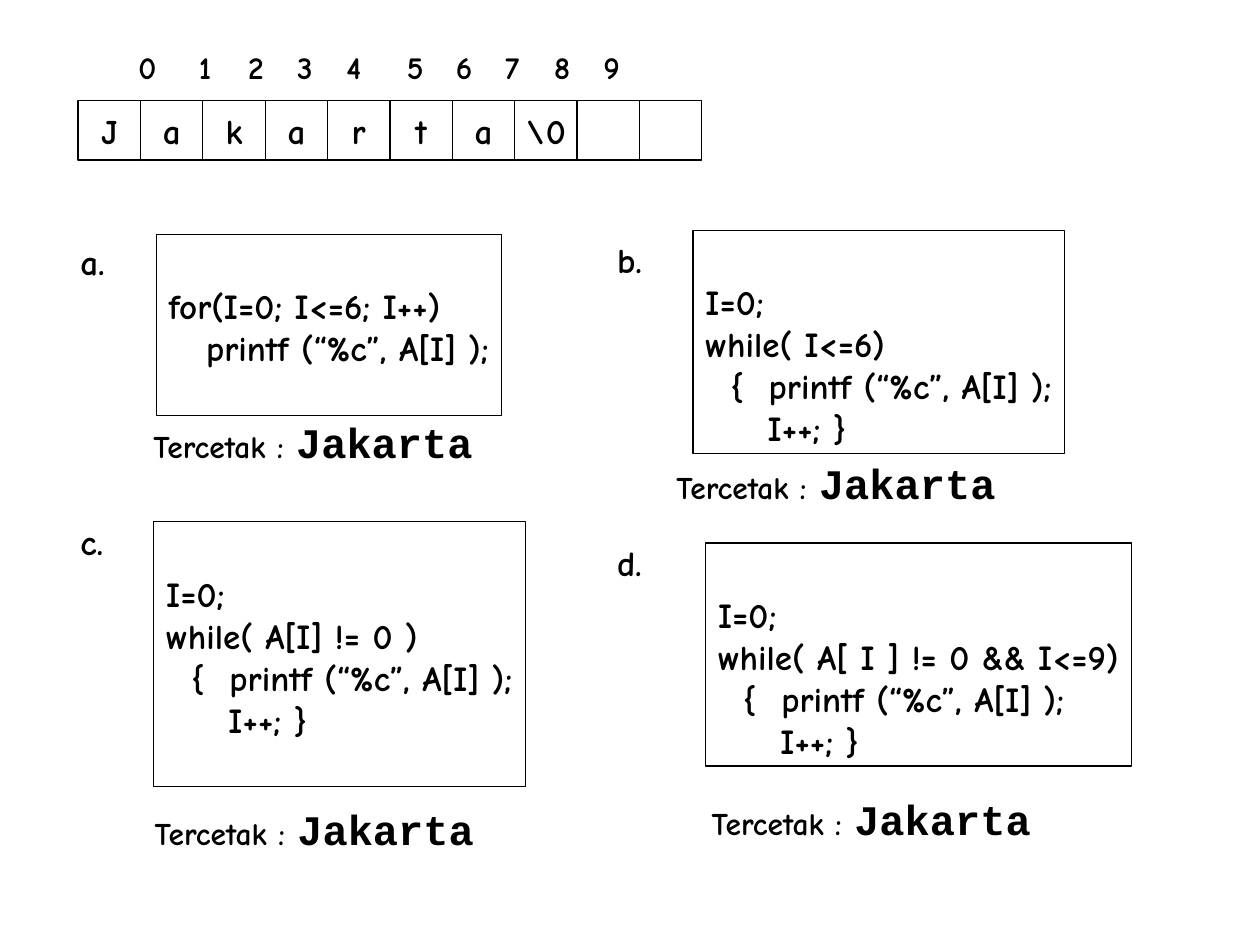
import pptx
import pptx.dml.color
import pptx.enum.shapes
import pptx.enum.text
import pptx.oxml.ns
import pptx.util
import lxml.etree

COLORS = {"ink": "000000"}
INK = pptx.dml.color.RGBColor.from_string(COLORS["ink"])
ANCHOR = pptx.enum.text.MSO_ANCHOR
ALIGN = pptx.enum.text.PP_ALIGN

presentation = pptx.Presentation()
presentation.slide_width = pptx.util.Inches(10)
presentation.slide_height = pptx.util.Inches(7.5)
slide = presentation.slides.add_slide(presentation.slide_layouts[6])
column = presentation.slide_width / 100
row = presentation.slide_height / 75


def add_box(left, top, width, height, bordered=False, inset=1, top_inset=0.5):
    bounds = [int(left * column), int(top * row), int(width * column), int(height * row)]
    if bordered:
        shape = slide.shapes.add_shape(pptx.enum.shapes.MSO_SHAPE.RECTANGLE, *bounds)
        shape.shadow.inherit = False
        shape.fill.background()
        shape.line.color.rgb = INK
        shape.line.width = pptx.util.Pt(0.75)
    else:
        shape = slide.shapes.add_textbox(*bounds)
    frame = shape.text_frame
    frame.word_wrap = True
    frame.vertical_anchor = ANCHOR.TOP
    frame.margin_left = int(inset * column)
    frame.margin_right = 0
    frame.margin_top = int(top_inset * row)
    return frame


def add_text(paragraph, text, size=20, font="Comic Neue", align=ALIGN.LEFT):
    paragraph.alignment = align
    run = paragraph.add_run()
    run.text = text
    run.font.name = font
    run.font.size = pptx.util.Pt(size)
    run.font.bold = True
    run.font.color.rgb = INK


cell_width = 4.95
letters = ["J", "a", "k", "a", "r", "t", "a", "\\0", "", ""]
for position, letter in enumerate(letters):
    frame = add_box(6.2 + position * cell_width, 8, cell_width, 4.7, bordered=True, inset=0)
    frame.vertical_anchor = ANCHOR.MIDDLE
    if letter:
        add_text(frame.paragraphs[0], letter, align=ALIGN.CENTER)

index_paragraph = add_box(10, 3.3, 40.2, 4).paragraphs[0]
add_text(index_paragraph, "\t".join(str(index) for index in range(10)), size=18)
tab_list = lxml.etree.SubElement(
    index_paragraph._p.get_or_add_pPr(), pptx.oxml.ns.qn("a:tabLst")
)
for index in range(1, 10):
    stop = 3.9 * index + (0.9 if index < 5 else 1.8)
    lxml.etree.SubElement(
        tab_list, pptx.oxml.ns.qn("a:tab"), pos=str(int(stop * column)), algn="l"
    )

loop_body = ["  {  printf (“%c”, A[I] );", "     I++; }"]
examples = [
    ("a.", (5.4, 18.6), (12.4, 18.6, 27.4, 14.4), (11.2, 32.6),
     ["for(I=0; I<=6; I++)", "   printf (“%c”, A[I] );"]),
    ("b.", (48, 18.4), (55, 18.3, 29.5, 17.7), (52.7, 35.8),
     ["I=0;", "while( I<=6)", *loop_body]),
    ("c.", (5.4, 40.8), (12.2, 41.4, 29.5, 21), (11.3, 63.3),
     ["I=0;", "while( A[I] != 0 )", *loop_body]),
    ("d.", (48, 42.5), (56, 43.1, 33.8, 17.7), (55.5, 62.5),
     ["I=0;", "while( A[ I ] != 0 && I<=9)", *loop_body]),
]
for label, label_corner, code_bounds, output_corner, code in examples:
    add_text(add_box(*label_corner, 3.9, 4.4).paragraphs[0], label)

    frame = add_box(*code_bounds, bordered=True, top_inset=4)
    for number, line in enumerate(code):
        paragraph = frame.add_paragraph() if number else frame.paragraphs[0]
        add_text(paragraph, line)

    paragraph = add_box(*output_corner, 27.6, 5).paragraphs[0]
    add_text(paragraph, "Tercetak :", size=18)
    add_text(paragraph, " ")
    add_text(paragraph, "Jakarta", size=24, font="Courier New")

presentation.save("out.pptx")
